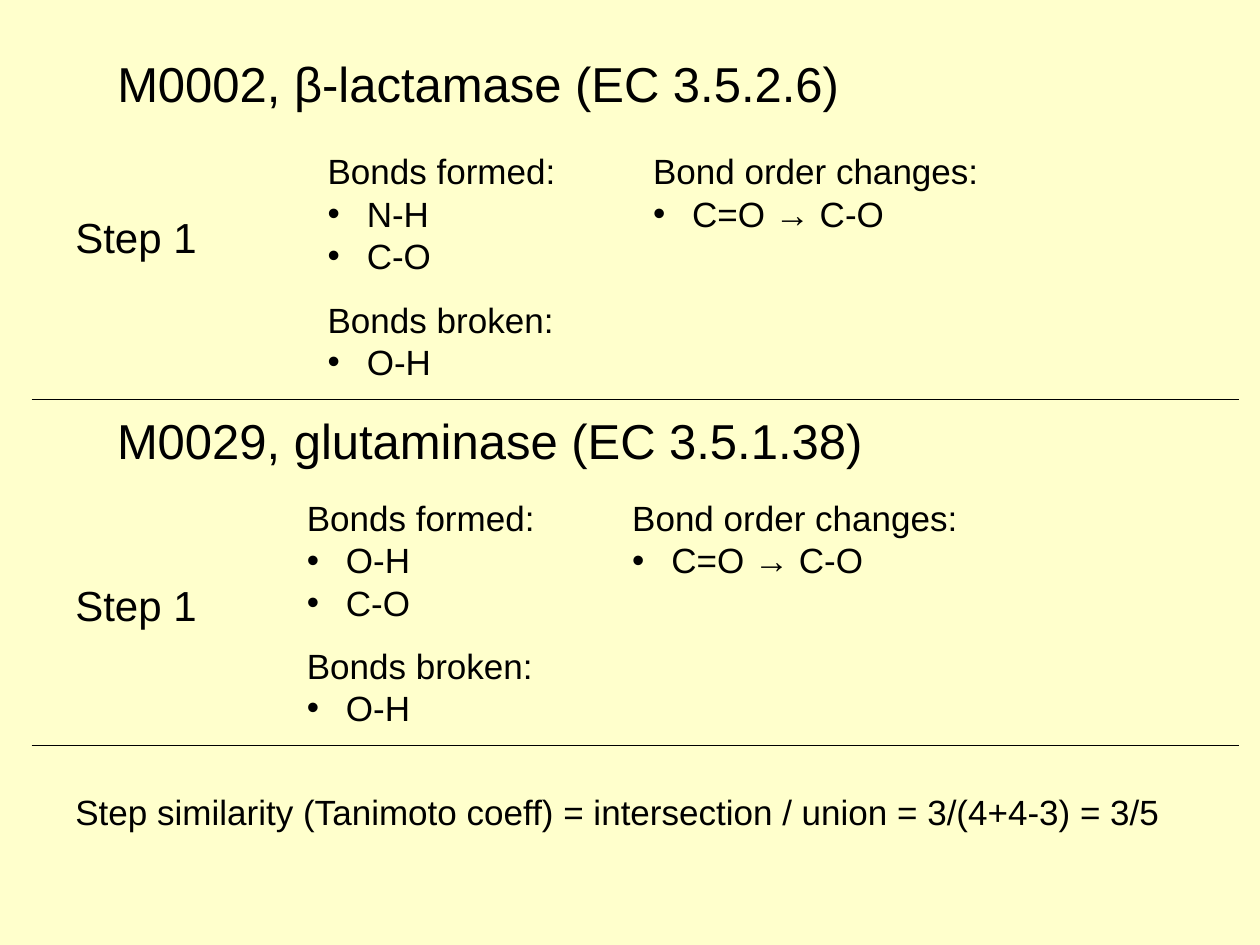
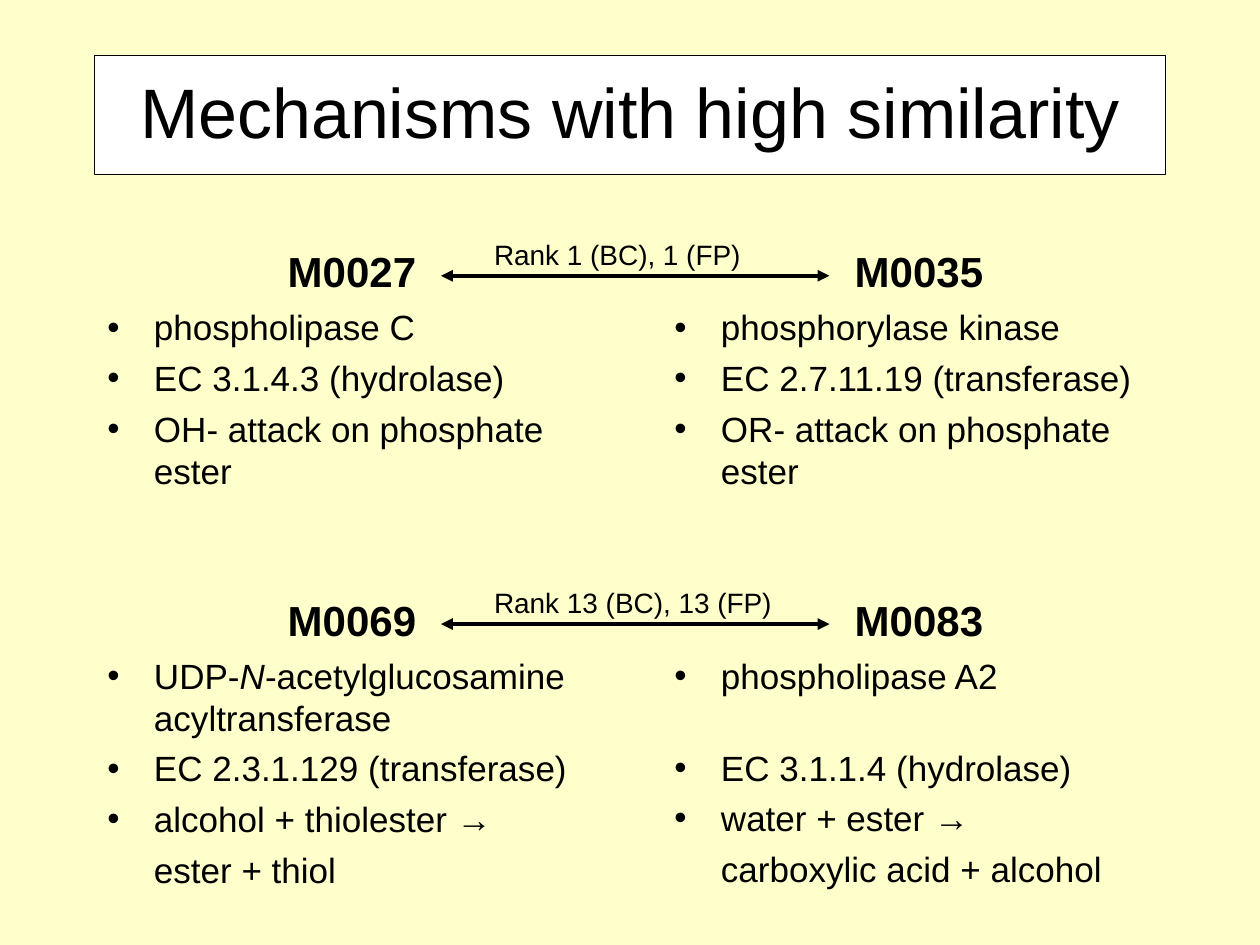
"""Build two slides that compare enzyme reaction mechanisms."""
from lxml import etree
from pptx import Presentation
from pptx import util as u
from pptx.dml.color import RGBColor
from pptx.enum import shapes, text
from pptx.oxml.ns import qn

CREAM = RGBColor(0xFF, 0xFF, 0xCC)
WHITE = RGBColor(0xFF, 0xFF, 0xFF)
BLACK = RGBColor(0, 0, 0)
LEFT, MID = text.PP_ALIGN.LEFT, text.PP_ALIGN.CENTER

STYLES = {
    "name": dict(size=28),
    "step": dict(size=24),
    "head": dict(size=20, gap=12.5),
    "bond": dict(size=20, hang=0.79, mark=True),
    "note": dict(size=20),
    "title": dict(size=40, align=MID),
    "code": dict(size=24, align=MID, bold=True),
    "fact": dict(size=20, hang=0.94, mark=True, gap=5),
    "late": dict(size=20, hang=0.94, mark=True, gap=28.5),
    "more": dict(size=20, hang=0.94, gap=5),
    "rank": dict(size=16),
}


def write(box, rect, rows, anchor=text.MSO_ANCHOR.TOP):
    box.left, box.top, box.width, box.height = map(u.Cm, rect)
    frame = box.text_frame
    look = dict(word_wrap=True, auto_size=text.MSO_AUTO_SIZE.NONE,
                vertical_anchor=anchor)
    for key, val in look.items():
        setattr(frame, key, val)
    for num, (kind, words) in enumerate(rows):
        style = STYLES[kind]
        para = frame.add_paragraph() if num else frame.paragraphs[0]
        props = para._p.get_or_add_pPr()
        hang, mark = u.Cm(style.get("hang", 0)), style.get("mark")
        props.set("marL", str(hang))
        props.set("indent", str(-hang if mark else 0))
        if mark:
            etree.SubElement(props, qn("a:buFont")).set("typeface", "Arial")
            etree.SubElement(props, qn("a:buChar")).set("char", "•")
        else:
            etree.SubElement(props, qn("a:buNone"))
        form = dict(alignment=style.get("align", LEFT),
                    line_spacing=1.0 if num else 0.93,
                    space_before=u.Pt(style.get("gap", 0) if num else 0),
                    space_after=u.Pt(0))
        for key, val in form.items():
            setattr(para, key, val)
        for turn, part in enumerate(words.split("_")):
            run = para.add_run()
            run.text = part
            font = dict(name="Arial", size=u.Pt(style["size"]),
                        bold=style.get("bold", False), italic=turn % 2 == 1)
            for key, val in font.items():
                setattr(run.font, key, val)
            run.font.color.rgb = BLACK


def rule(slide, start, end, y, width, heads=False):
    line = slide.shapes.add_connector(
        shapes.MSO_CONNECTOR.STRAIGHT, u.Cm(start), u.Cm(y), u.Cm(end), u.Cm(y))
    line.line.color.rgb = BLACK
    line.line.width = u.Pt(width)
    props = line._element.spPr
    if heads:
        for tag in ("a:headEnd", "a:tailEnd"):
            etree.SubElement(line.line._get_or_add_ln(), qn(tag)).set("type", "triangle")
    etree.SubElement(props, qn("a:effectLst"))


deck = Presentation()
deck.slide_width, deck.slide_height = u.Cm(25.4), u.Cm(19.05)
back = deck.slide_master.background.fill
back.solid()
back.fore_color.rgb = CREAM
layout = deck.slide_layouts[4]

steps = deck.slides.add_slide(layout)
blank = (0, 0, 0, 0)
write(steps.shapes.title, (2.11, 1.06, 21.59, 1.37),
      [("name", "M0002, β-lactamase (EC 3.5.2.6)")])
write(steps.shapes.add_textbox(*blank), (2.11, 8.25, 21.59, 1.37),
      [("name", "M0029, glutaminase (EC 3.5.1.38)")])

blocks = [("N-H", 6.35, 2.96, 4.23, 8.05), ("O-H", 5.93, 9.95, 11.64, 15.03)]
for num, (bond, x, y, mid, base) in enumerate(blocks):
    write(steps.shapes.add_textbox(*blank), (1.27, mid, 3.39, 1.19),
          [("step", "Step 1")])
    write(steps.placeholders[2 * num + 1], (x, y, 6.77, 4.87),
          [("head", "Bonds formed:"), ("bond", bond), ("bond", "C-O"),
           ("head", "Bonds broken:"), ("bond", "O-H")])
    write(steps.placeholders[2 * num + 2], (x + 6.56, y, 9.1, 2.75),
          [("head", "Bond order changes:"), ("bond", "C=O → C-O")])
    rule(steps, 0.64, 24.98, base, 0.75)
write(steps.shapes.add_textbox(*blank), (1.27, 15.88, 22.86, 1.04),
      [("note", "Step similarity (Tanimoto coeff) = intersection / union"
                " = 3/(4+4-3) = 3/5")])

pairs = deck.slides.add_slide(layout)
title = pairs.shapes.title
write(title, (1.9, 1.12, 21.59, 2.4), [("title", "Mechanisms with high similarity")],
      text.MSO_ANCHOR.MIDDLE)
title.fill.solid()
title.fill.fore_color.rgb = WHITE
title.line.color.rgb = BLACK
title.line.width = u.Pt(0.75)

ranks = [
    ("Rank 1 (BC), 1 (FP)", 5.12,
     [("code", "M0027"), ("fact", "phospholipase C"),
      ("fact", "EC 3.1.4.3 (hydrolase)"),
      ("fact", "OH- attack on phosphate ester")],
     [("code", "M0035"), ("fact", "phosphorylase kinase"),
      ("fact", "EC 2.7.11.19 (transferase)"),
      ("fact", "OR- attack on phosphate ester")]),
    ("Rank 13 (BC), 13 (FP)", 6.14,
     [("code", "M0069"), ("fact", "UDP-_N_-acetylglucosamine acyltransferase"),
      ("fact", "EC 2.3.1.129 (transferase)"),
      ("fact", "alcohol + thiolester →"), ("more", "ester + thiol")],
     [("code", "M0083"), ("fact", "phospholipase A2"),
      ("late", "EC 3.1.1.4 (hydrolase)"),
      ("fact", "water + ester →"), ("more", "carboxylic acid + alcohol")]),
]
for num, (rank, high, *sides) in enumerate(ranks):
    y = 4.92 + 7.02 * num
    for col, rows in enumerate(sides):
        write(pairs.placeholders[2 * num + col + 1],
              (1.91 + 11.43 * col, y, 10.37, high), rows)
    rule(pairs, 8.89, 16.72, y + 0.64, 2.25, heads=True)
    write(pairs.shapes.add_textbox(*blank), (9.71, y - 0.2, 6.37, 0.89),
          [("rank", rank)])

deck.save("out.pptx")
